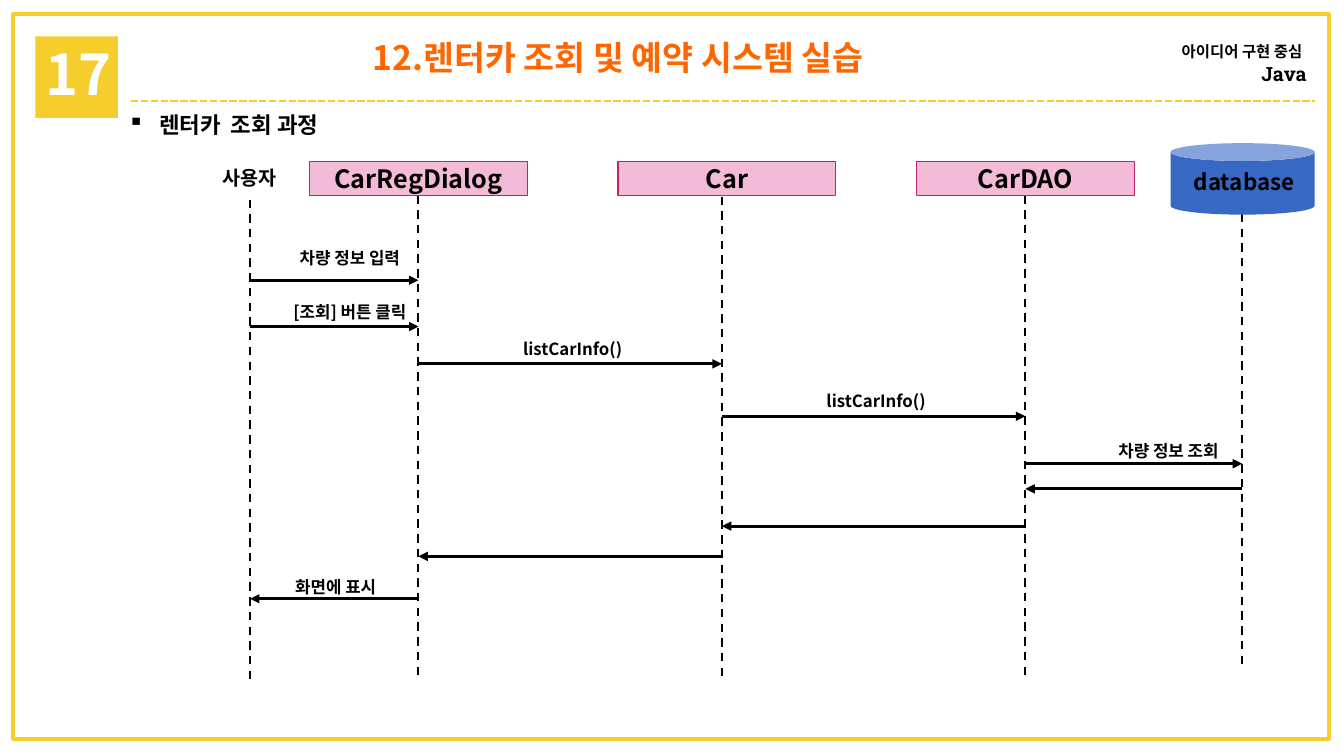
from dataclasses import dataclass

from lxml.etree import SubElement
from pptx import Presentation
from pptx.dml.color import RGBColor
from pptx.enum.dml import MSO_LINE_DASH_STYLE as DASH
from pptx.enum.shapes import MSO_CONNECTOR, MSO_SHAPE
from pptx.enum.text import MSO_ANCHOR, PP_ALIGN
from pptx.oxml.ns import qn
from pptx.util import Inches, Pt


@dataclass(frozen=True)
class Theme:
    sans: str = "Noto Sans CJK KR"
    slab: str = "Roboto Slab"
    black: str = "000000"
    white: str = "FFFFFF"
    yellow: str = "F5CD2D"
    orange: str = "FF6600"
    pink: str = "F3BBD7"
    magenta: str = "BF2371"
    blue: str = "3668C4"
    number: int = 40
    title: int = 24
    head: int = 18
    topic: int = 16
    actor: int = 14
    message: int = 12
    tagline: int = 11


@dataclass(frozen=True)
class Box:
    left: float
    top: float
    width: float
    height: float

    def inner(self, left, top, width, height):
        return Box(self.left + left, self.top + top, width, height)

    def lengths(self):
        return [Inches(v) for v in (self.left, self.top, self.width, self.height)]


THEME = Theme()


def rgb(color):
    return RGBColor.from_string(color)


def style(run, size, color=THEME.black, bold=True, face=THEME.sans):
    font = run.font
    font.size, font.bold, font.name = Pt(size), bold, face
    font.color.rgb = rgb(color)
    SubElement(run._r.get_or_add_rPr(), qn("a:ea")).set("typeface", face)


def write(frame, text, size, color=THEME.black, align=PP_ALIGN.CENTER):
    frame.word_wrap = True
    frame.text = text
    paragraph = frame.paragraphs[0]
    paragraph.alignment = align
    style(paragraph.runs[0], size, color)


def add_label(slide, box, *text, **options):
    frame = slide.shapes.add_textbox(*box.lengths()).text_frame
    write(frame, *text, **options)
    return frame


def add_block(slide, kind, box, fill=None, line=None, weight=1):
    block = slide.shapes.add_shape(kind, *box.lengths())
    block.shadow.inherit = False
    if fill:
        block.fill.solid()
        block.fill.fore_color.rgb = rgb(fill)
    else:
        block.fill.background()
    if line:
        block.line.color.rgb = rgb(line)
        block.line.width = Pt(weight)
    else:
        block.line.fill.background()
    return block


def add_line(slide, start, end, weight, color=THEME.black, dash=None, arrow=False):
    line = slide.shapes.add_connector(
        MSO_CONNECTOR.STRAIGHT, *(Inches(v) for v in (*start, *end)))
    line.line.color.rgb = rgb(color)
    line.line.width = Pt(weight)
    if dash:
        line.line.dash_style = dash
    if arrow:
        SubElement(line.line._get_or_add_ln(), qn("a:tailEnd")).set("type", "triangle")
    SubElement(line._element.spPr, qn("a:effectLst"))
    return line


def add_header(slide, box):
    # Chapter number
    add_block(slide, MSO_SHAPE.RECTANGLE, box.inner(0, 0.04, 0.82, 0.81), THEME.yellow)
    add_label(slide, box.inner(0, 0.02, 0.97, 0.77), "17", THEME.number, THEME.white,
              align=PP_ALIGN.LEFT)

    # Course name
    tagline = add_label(slide, box.inner(10.74, 0.01, 1.97, 0.57), "아이디어 구현 중심",
                        THEME.tagline, align=PP_ALIGN.RIGHT)
    gap = tagline.paragraphs[0].add_run()
    gap.text = " "
    style(gap, THEME.actor, bold=False)
    course = tagline.add_paragraph()
    course.text = "Java"
    course.alignment = PP_ALIGN.RIGHT
    style(course.runs[0], THEME.actor, face=THEME.slab)

    # Title and rule
    add_label(slide, box.inner(1.08, 0, 9.4, 0.5), "12.렌터카 조회 및 예약 시스템 실습",
              THEME.title, THEME.orange)
    rule_y = box.top + 0.68
    add_line(slide, (box.left + 0.95, rule_y), (box.left + box.width, rule_y),
             1.75, THEME.yellow, DASH.SQUARE_DOT)


def add_topic(slide, box):
    topic = add_label(slide, box, "렌터카  조회 과정", THEME.topic, align=PP_ALIGN.LEFT)
    properties = topic.paragraphs[0]._p.get_or_add_pPr()
    properties.set("marL", str(Inches(0.31)))
    properties.set("indent", str(Inches(-0.31)))
    SubElement(properties, qn("a:buChar")).set("char", "▪")


def add_sequence(slide, box):
    user, dialog, car, dao, database = 0.71, 2.38, 5.39, 8.4, 10.55

    def at(x, y):
        return box.left + x, box.top + y

    # Lifelines; the database one starts behind its cylinder
    lifelines = {
        x: add_line(slide, at(x, top), at(x, top + 4.79), 1.5, dash=DASH.DASH)
        for x, top in ((user, 0.56), (dialog, 0.53), (car, 0.53), (dao, 0.52),
                       (database, 0.41))
    }

    # Participants
    add_label(slide, box.inner(0, 0.18, 1.41, 0.34), "사용자", THEME.actor)
    for name, left, x in (("CarRegDialog", 1.3, dialog), ("Car", 4.36, car),
                          ("CarDAO", 7.32, dao)):
        head = add_block(slide, MSO_SHAPE.RECTANGLE, box.inner(left, 0.18, 2.16, 0.34),
                         THEME.pink, THEME.magenta)
        head.text_frame.vertical_anchor = MSO_ANCHOR.MIDDLE
        write(head.text_frame, name, THEME.head)
        if x != car:  # the Car lifeline is off its head's middle
            lifelines[x].begin_connect(head, 2)
    add_block(slide, MSO_SHAPE.CAN, box.inner(9.84, 0, 1.43, 0.71), THEME.blue)
    add_label(slide, box.inner(9.09, 0.2, 2.96, 0.37), "database", THEME.topic)

    # Calls and returns, in order of time
    for sender, receiver, y in (
        (user, dialog, 1.36), (user, dialog, 1.82), (dialog, car, 2.19),
        (car, dao, 2.71), (dao, database, 3.18), (database, dao, 3.43),
        (dao, car, 3.8), (car, dialog, 4.1), (dialog, user, 4.52),
    ):
        add_line(slide, at(sender, y), at(receiver, y), 2.25, arrow=True)

    # Message labels
    for text, left, top in (
        ("차량 정보 입력", 0.22, 0.99), ("[조회] 버튼 클릭", 0.22, 1.52),
        ("listCarInfo()", 2.43, 1.89), ("listCarInfo()", 5.44, 2.41),
        ("차량 정보 조회", 8.34, 2.9), ("화면에 표시", 0.08, 4.25),
    ):
        add_label(slide, box.inner(left, top, 2.96, 0.3), text, THEME.message)


def main():
    deck = Presentation()
    deck.slide_width, deck.slide_height = Inches(13.33), Inches(7.5)
    slide = deck.slides.add_slide(deck.slide_layouts[6])
    add_block(slide, MSO_SHAPE.RECTANGLE, Box(0.13, 0.14, 13.05, 7.19),
              line=THEME.yellow, weight=2.5)
    add_header(slide, Box(0.35, 0.32, 12.69, 0.85))
    add_topic(slide, Box(1.17, 1.05, 5.27, 0.37))
    add_sequence(slide, Box(1.77, 1.42, 11.27, 5.35))
    deck.save("out.pptx")


if __name__ == "__main__":
    main()
